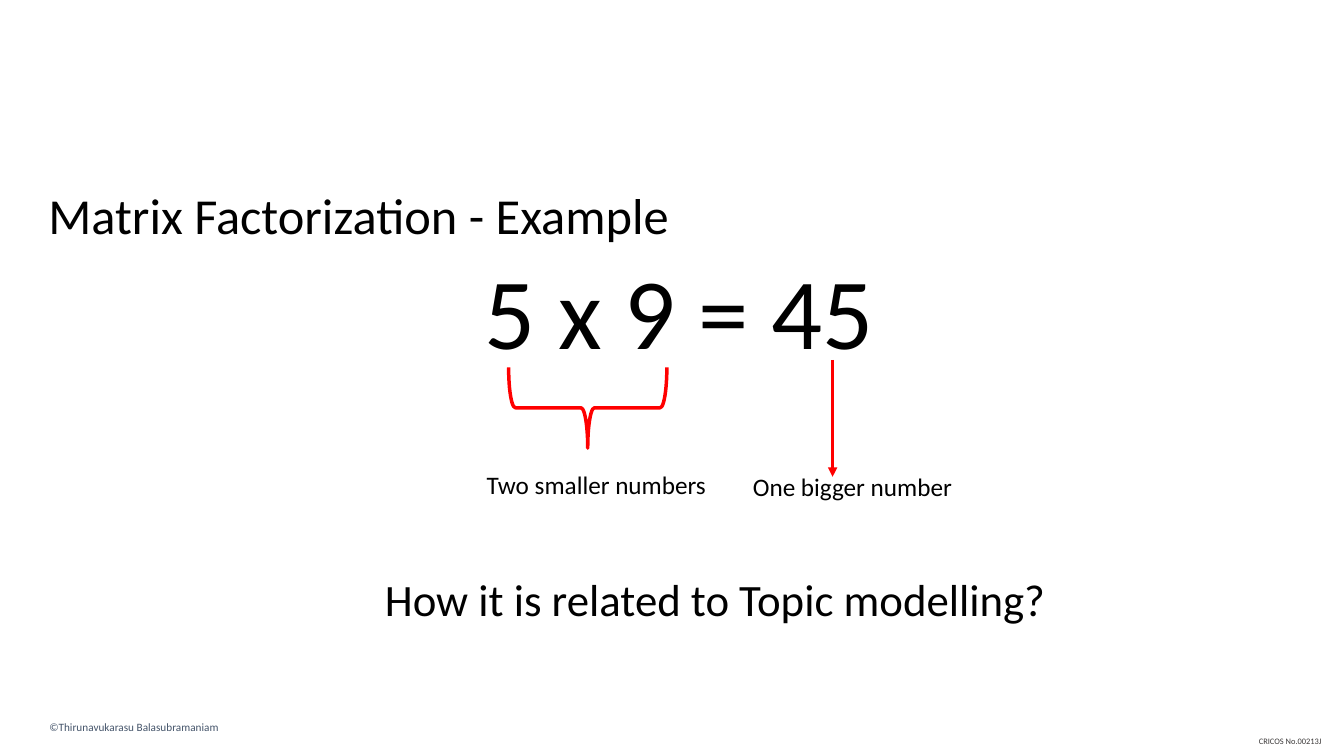
from typing import Any, NamedTuple

from lxml import etree
from pptx import Presentation
from pptx.dml.color import RGBColor
from pptx.enum.shapes import MSO_CONNECTOR, MSO_SHAPE
from pptx.enum.text import MSO_ANCHOR, MSO_AUTO_SIZE, PP_ALIGN
from pptx.oxml.ns import qn
from pptx.slide import Slide
from pptx.util import Inches, Pt

LEFT, CENTER = PP_ALIGN.LEFT, PP_ALIGN.CENTER
TOP, MIDDLE = MSO_ANCHOR.TOP, MSO_ANCHOR.MIDDLE
NO_FIT, GROW = MSO_AUTO_SIZE.NONE, MSO_AUTO_SIZE.SHAPE_TO_FIT_TEXT
LEFT_BRACE = MSO_SHAPE.LEFT_BRACE
STRAIGHT = MSO_CONNECTOR.STRAIGHT

SLIDE_WIDTH, SLIDE_HEIGHT = Inches(13.33), Inches(7.5)
FONT = "Calibri"
BLACK, RED, SLATE, CHARCOAL = "000000", "FF0000", "44546A", "3B3838"


class Area(NamedTuple):
    """Percentages of the slide's width and height."""
    left: float
    top: float
    width: float
    height: float


class Label(NamedTuple):
    text: str
    area: Area
    size: float
    color: str = BLACK
    align: PP_ALIGN = LEFT
    wrap: bool = False


TITLE = Label("Matrix Factorization - Example", Area(2.85, 20.8, 92.33, 16), 36, wrap=True)
LABELS = [
    Label("CRICOS No.00213J", Area(92.4, 96.67, 7.2, 2.67), 6, CHARCOAL, CENTER),
    Label("Two smaller numbers", Area(35.48, 61.47, 18, 5.33), 18),
    Label("One bigger number", Area(55.28, 61.73, 16.5, 5.33), 18),
    Label("How it is related to Topic modelling?", Area(27.9, 74.93, 51.23, 8.53), 32),
    Label("5 x 9 = 45", Area(25.5, 32.27, 50.03, 17.47), 72, align=CENTER, wrap=True),
    Label("©Thirunavukarasu Balasubramaniam", Area(2.93, 94.67, 22.05, 3.2), 8, SLATE, wrap=True),
]
FACTORS_BRACE = Area(40.73, 43.47, 6, 20.93)
PRODUCT_ARROW = Area(61.95, 47.6, 0, 15.47)


def rgb(color: str) -> RGBColor:
    return RGBColor.from_string(color)


def across(share: float) -> int:
    return round(SLIDE_WIDTH * share / 100)


def down(share: float) -> int:
    return round(SLIDE_HEIGHT * share / 100)


def frame(area: Area) -> tuple[int, int, int, int]:
    return across(area.left), down(area.top), across(area.width), down(area.height)


def apply(target: Any, values: dict[str, Any]) -> None:
    for name, value in values.items():
        setattr(target, name, value)


def write(holder: Any, label: Label, anchor: MSO_ANCHOR, fit: MSO_AUTO_SIZE) -> None:
    content = holder.text_frame
    content.text = label.text
    apply(content, {"word_wrap": label.wrap, "vertical_anchor": anchor, "auto_size": fit})
    paragraph = content.paragraphs[0]
    paragraph.alignment = label.align
    font = paragraph.runs[0].font
    apply(font, {"name": FONT, "size": Pt(label.size)})
    font.color.rgb = rgb(label.color)


def set_title(slide: Slide, label: Label) -> None:
    title = slide.shapes.title
    apply(title, dict(zip(("left", "top", "width", "height"), frame(label.area))))
    write(title, label, MIDDLE, NO_FIT)
    title.text_frame.paragraphs[0].line_spacing = 0.9


def add_label(slide: Slide, label: Label) -> None:
    write(slide.shapes.add_textbox(*frame(label.area)), label, TOP, GROW)


def set_stroke(line: Any, width: float) -> None:
    line.color.rgb = rgb(RED)
    line.width = Pt(width)


def add_brace(slide: Slide, area: Area) -> None:
    brace = slide.shapes.add_shape(LEFT_BRACE, *frame(area))
    brace.rotation = 270
    brace.shadow.inherit = False
    brace.fill.background()
    set_stroke(brace.line, 2.5)


def add_arrow(slide: Slide, area: Area) -> None:
    left, top, width, height = frame(area)
    arrow = slide.shapes.add_connector(STRAIGHT, left, top, left + width, top + height)
    set_stroke(arrow.line, 2.25)
    etree.SubElement(arrow.line._get_or_add_ln(), qn("a:tailEnd"), type="triangle")
    etree.SubElement(arrow._element.spPr, qn("a:effectLst"))


def main() -> None:
    deck = Presentation()
    apply(deck, {"slide_width": SLIDE_WIDTH, "slide_height": SLIDE_HEIGHT})
    slide = deck.slides.add_slide(deck.slide_layouts.get_by_name("Title Only"))
    set_title(slide, TITLE)
    add_brace(slide, FACTORS_BRACE)
    add_arrow(slide, PRODUCT_ARROW)
    for label in LABELS:
        add_label(slide, label)
    deck.save("out.pptx")


if __name__ == "__main__":
    main()
